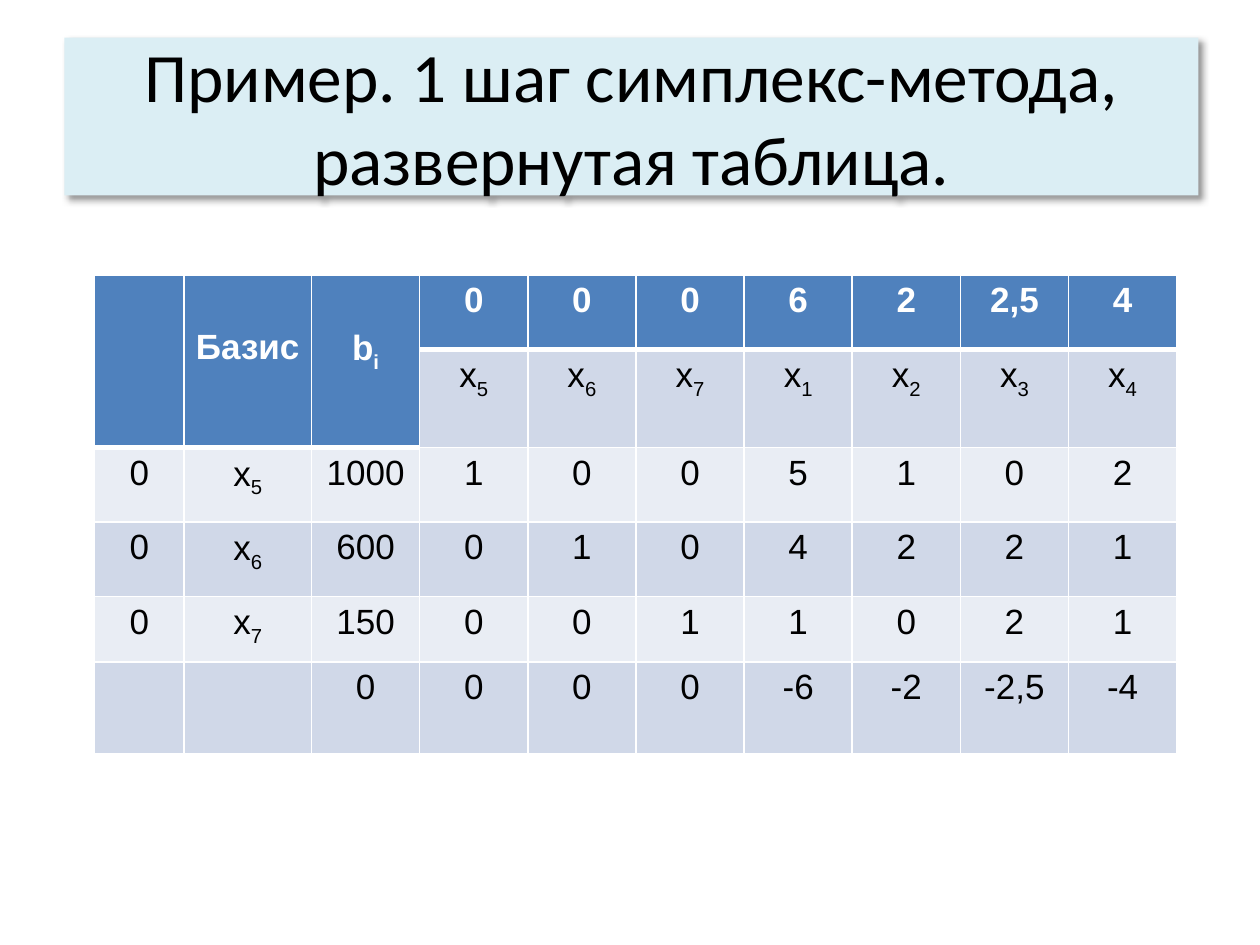
from lxml import etree
from pptx import Presentation
from pptx.dml.color import RGBColor
from pptx.enum.shapes import MSO_SHAPE
from pptx.enum.text import MSO_ANCHOR, PP_ALIGN
from pptx.oxml import parse_xml
from pptx.oxml.ns import nsdecls, qn
from pptx.util import Cm, Pt

RECTANGLE = MSO_SHAPE.RECTANGLE
MIDDLE = MSO_ANCHOR.MIDDLE
CENTER = PP_ALIGN.CENTER

BLACK = RGBColor(0x00, 0x00, 0x00)
WHITE = RGBColor(0xFF, 0xFF, 0xFF)
PALE_CYAN = RGBColor(0xDB, 0xEE, 0xF4)
HEADER_BLUE = RGBColor(0x4F, 0x81, 0xBD)
BANDS = (RGBColor(0xE9, 0xED, 0xF4), RGBColor(0xD0, 0xD8, 0xE8))

TITLE = "Пример. 1 шаг симплекс-метода, развернутая таблица."
SIMPLEX_ROWS = [
    ["", "Базис", "b_i", "0", "0", "0", "6", "2", "2,5", "4"],
    ["", "", "", "x_5", "x_6", "x_7", "x_1", "x_2", "x_3", "x_4"],
    ["0", "x_5", "1000", "1", "0", "0", "5", "1", "0", "2"],
    ["0", "x_6", "600", "0", "1", "0", "4", "2", "2", "1"],
    ["0", "x_7", "150", "0", "0", "1", "1", "0", "2", "1"],
    ["", "", "0", "0", "0", "0", "-6", "-2", "-2,5", "-4"],
]
COLUMN_WIDTHS = [1.8, 2.57] + [2.18] * 8
ROW_HEIGHTS = [1.5, 1.83, 1.5, 1.5, 1.32, 1.85]
MERGED_COLUMNS = 3
HEADER_DROP = 0.95


def add_shadow(shape):
    shape._element.spPr.append(parse_xml(
        f'<a:effectLst {nsdecls("a")}>'
        '<a:outerShdw blurRad="50800" dist="38100" dir="2700000" algn="tl" rotWithShape="0">'
        '<a:srgbClr val="000000"><a:alpha val="40000"/></a:srgbClr>'
        '</a:outerShdw></a:effectLst>'))


def set_borders(cell, bottom_width):
    properties = cell._tc.get_or_add_tcPr()
    widths = {"lnL": 1, "lnR": 1, "lnT": 1, "lnB": bottom_width}
    for position, (side, width) in enumerate(widths.items()):
        line = etree.Element(qn(f"a:{side}"), w=str(Pt(width)))
        fill = etree.SubElement(line, qn("a:solidFill"))
        etree.SubElement(fill, qn("a:srgbClr"), val=str(WHITE))
        properties.insert(position, line)


def write_entry(cell, entry, is_header):
    paragraph = cell.text_frame.paragraphs[0]
    paragraph.alignment = CENTER
    paragraph.line_spacing = 1.15
    base, _, index = entry.partition("_")
    for part in filter(None, (base, index)):
        run = paragraph.add_run()
        run.text = part
        run.font.name = "Arial"
        run.font.size = Pt(20)
        run.font.bold = is_header
        run.font.color.rgb = WHITE if is_header else BLACK
    if index:
        run.font._element.set("baseline", "-25000")


def add_title(slide):
    title = slide.shapes.add_shape(RECTANGLE, Cm(1.3), Cm(0.76), Cm(22.86), Cm(3.18))
    title.fill.solid()
    title.fill.fore_color.rgb = PALE_CYAN
    title.line.fill.background()
    add_shadow(title)
    frame = title.text_frame
    frame.text = TITLE
    frame.word_wrap = True
    frame.vertical_anchor = MIDDLE
    paragraph = frame.paragraphs[0]
    paragraph.alignment = CENTER
    font = paragraph.runs[0].font
    font.name = "Calibri"
    font.size = Pt(39.6)
    font.color.rgb = BLACK


def add_simplex_table(slide):
    table = slide.shapes.add_table(
        len(ROW_HEIGHTS), len(COLUMN_WIDTHS), Cm(1.91), Cm(5.54),
        Cm(sum(COLUMN_WIDTHS)), Cm(sum(ROW_HEIGHTS))).table
    for column, width in zip(table.columns, COLUMN_WIDTHS):
        column.width = Cm(width)
    for row, height in zip(table.rows, ROW_HEIGHTS):
        row.height = Cm(height)
    for r, entries in enumerate(SIMPLEX_ROWS):
        for c, entry in enumerate(entries):
            cell = table.cell(r, c)
            is_merged = r < 2 and c < MERGED_COLUMNS
            is_header = r == 0 or is_merged
            cell.fill.solid()
            cell.fill.fore_color.rgb = HEADER_BLUE if is_header else BANDS[r % 2]
            cell.margin_left = cell.margin_right = Cm(0.18)
            cell.margin_top = Cm(HEADER_DROP if is_merged and entry else 0)
            cell.margin_bottom = 0
            set_borders(cell, 3 if is_header else 1)
            write_entry(cell, entry, is_header)
    for c in range(MERGED_COLUMNS):
        table.cell(0, c).merge(table.cell(1, c))


def main():
    presentation = Presentation()
    presentation.slide_width = Cm(25.4)
    presentation.slide_height = Cm(19.05)
    slide = presentation.slides.add_slide(presentation.slide_layouts[6])
    add_title(slide)
    add_simplex_table(slide)
    presentation.save("out.pptx")


if __name__ == "__main__":
    main()
